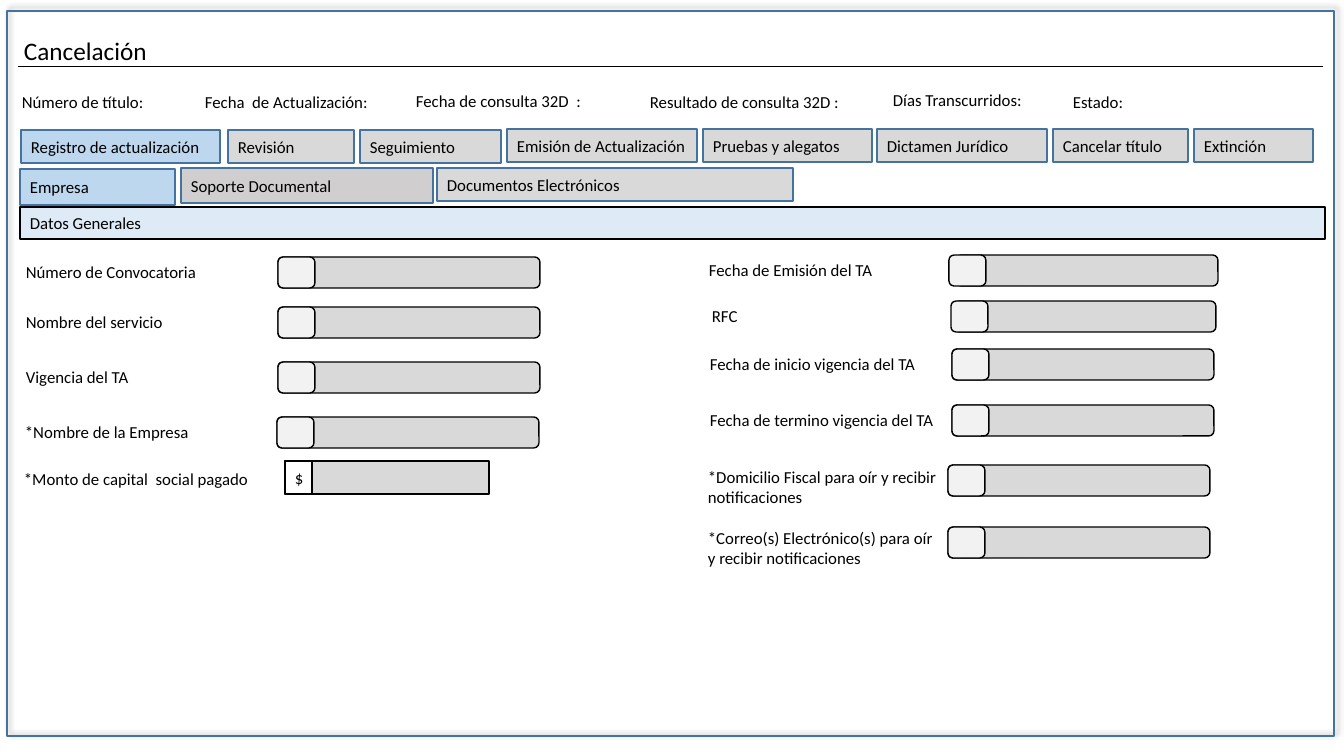
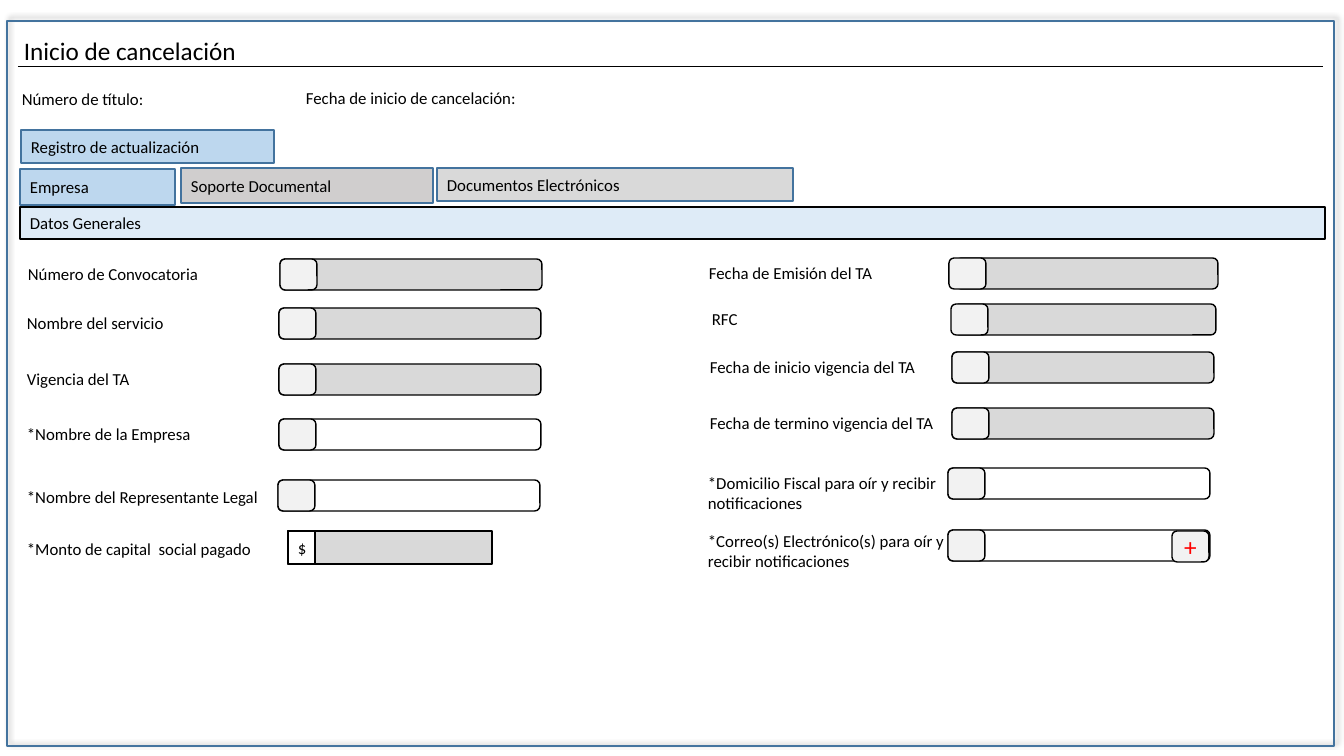
"""Build two cancellation form screens that share one frame, tab row and field grid."""
from lxml import etree
from pptx import Presentation
from pptx.dml.color import RGBColor
from pptx.enum.shapes import MSO_CONNECTOR, MSO_SHAPE
from pptx.enum.text import MSO_ANCHOR, PP_ALIGN
from pptx.oxml import parse_xml
from pptx.oxml.ns import nsdecls, qn
from pptx.util import Pt

PX = 914400 / 100.8
FONT = "Calibri"
BLACK, WHITE, RED, BORDER = "000000", "FFFFFF", "FF0000", "43739E"
ACTIVE, TAB, SUBTAB, BAND, CAP = "BDD7EE", "D9D9D9", "D0CECE", "DEEBF7", "F2F2F2"
RECT, ROUND = MSO_SHAPE.RECTANGLE, MSO_SHAPE.ROUNDED_RECTANGLE
BAR_W, CAP_W, FIELD_H, LABEL_W, LABEL_H = 262, 37, 31, 362, 30
TAB_H, AMOUNT_W, AMOUNT_CAP = 33, 204, 27

SUBTABS = [
    ("Empresa", 20, 169, 155, 36, ACTIVE),
    ("Soporte Documental", 181, 168, 252, 35, SUBTAB),
    ("Documentos Electrónicos", 437, 168, 356, 33, TAB),
]
# label, label x, cap x, bar x, y
RIGHT = [
    ("Fecha de Emisión del TA", 699, 949, 956, 255),
    ("RFC", 702, 951, 954, 301),
    ("Fecha de inicio vigencia del TA", 700, 952, 952, 349),
    ("Fecha de termino vigencia del TA", 700, 952, 952, 405),
    ("*Domicilio Fiscal para oír y recibir notificaciones", 698, 948, 948, 465),
    ("*Correo(s) Electrónico(s) para oír y recibir notificaciones", 698, 948, 948, 527),
]
LEFT = ["Número de Convocatoria", "Nombre del servicio", "Vigencia del TA",
        "*Nombre de la Empresa", "*Nombre del Representante Legal"]
LONG = RIGHT[4][0], RIGHT[5][0]

SCREENS = [
    {
        "title": "Cancelación", "frame_y": 11,
        "info": [("Número de título:", 12, 87), ("Fecha  de Actualización:", 195, 87),
                 ("Fecha de consulta 32D  :", 406, 86), ("Resultado de consulta 32D :", 640, 87),
                 ("Días Transcurridos:", 883, 85), ("Estado:", 1063, 87)],
        "tabs": [("Registro de actualización", 21, 130, 199), ("Revisión", 228, 130, 126),
                 ("Seguimiento", 360, 130, 141), ("Emisión de Actualización", 507, 129, 190),
                 ("Pruebas y alegatos", 703, 129, 169), ("Dictamen Jurídico", 877, 129, 170),
                 ("Cancelar título", 1053, 129, 135), ("Extinción", 1194, 129, 119)],
        "left": [(16, 278, 257), (16, 278, 307), (16, 278, 362), (15, 277, 417)],
        "right_dy": 0, "long_boxes": [(250, -3), (251, -4)],
        "amount": (14, 285, 461), "editable": [], "add": None,
    },
    {
        "title": "Inicio de cancelación", "frame_y": 21,
        "info": [("Número de título:", 12, 84), ("Fecha de inicio de cancelación:", 296, 83)],
        "tabs": [("Registro de actualización", 21, 130, 253)],
        "left": [(18, 280, 259), (17, 279, 308), (17, 279, 364), (17, 279, 419), (17, 278, 480)],
        "right_dy": 3, "long_boxes": [(312, 0), (258, -4)],
        "amount": (17, 288, 531), "editable": LEFT[3:] + list(LONG), "add": (1172, 531),
    },
]


def color(value):
    return RGBColor.from_string(value)


def write(tf, text, size=12, ink=BLACK, align=PP_ALIGN.LEFT):
    tf.word_wrap = True
    p = tf.paragraphs[0]
    p.text, p.alignment = text, align
    p.font.name, p.font.size, p.font.color.rgb = FONT, Pt(size), color(ink)


def box(s, kind, x, y, w, h, fill=None, line=BLACK, text="", **style):
    sp = s.shapes.add_shape(kind, *[round(v * PX) for v in (x, y, w, h)])
    sp.shadow.inherit = False
    if fill:
        sp.fill.solid()
        sp.fill.fore_color.rgb = color(fill)
    else:
        sp.fill.background()
    sp.line.color.rgb, sp.line.width = color(line), Pt(1)
    if text:
        sp.text_frame.vertical_anchor = MSO_ANCHOR.MIDDLE
        write(sp.text_frame, text, **style)
    return sp


def label(s, text, x, y, w=LABEL_W, h=LABEL_H, size=12):
    sp = s.shapes.add_textbox(*[round(v * PX) for v in (x, y, w, h)])
    write(sp.text_frame, text, size)


def frame(s, y):
    sp = box(s, RECT, 7, y, 1327, 725, line=BORDER)
    effects = sp._element.spPr.find(qn("a:effectLst"))
    effects.append(parse_xml(
        f'<a:outerShdw {nsdecls("a")} blurRad="{Pt(4)}" dist="{Pt(3)}" dir="18900000">'
        '<a:srgbClr val="000000"><a:alpha val="40000"/></a:srgbClr></a:outerShdw>'))


def rule(s, x1, x2, y):
    c = s.shapes.add_connector(MSO_CONNECTOR.STRAIGHT, *[round(v * PX) for v in (x1, y, x2, y)])
    c.line.color.rgb, c.line.width = color(BLACK), Pt(0.5)
    etree.SubElement(c._element.spPr, qn("a:effectLst"))


def field(s, text, label_x, cap_x, bar_x, y, editable, label_w=LABEL_W, label_dy=0):
    box(s, ROUND, bar_x, y, BAR_W, FIELD_H, WHITE if text in editable else TAB)
    box(s, ROUND, cap_x, y, CAP_W, FIELD_H, CAP)
    label(s, text, label_x, y + label_dy, label_w)


def build(s, screen):
    frame(s, screen["frame_y"])
    label(s, screen["title"], 14, 30, 515, 40, size=18)
    rule(s, 18, 1323, 66.5)
    for text, x, y in screen["info"]:
        label(s, text, x, y, 245)
    for i, (text, x, y, w) in enumerate(screen["tabs"]):
        box(s, RECT, x, y, w, TAB_H, TAB if i else ACTIVE, BORDER, text)
    for text, x, y, w, h, fill in SUBTABS:
        box(s, RECT, x, y, w, h, fill, BORDER, text)
    box(s, RECT, 20, 207, 1305, 32, BAND, text="Datos Generales")

    editable = screen["editable"]
    for text, (label_x, x, y) in zip(LEFT, screen["left"]):
        field(s, text, label_x, x, x, y, editable, label_dy=2 if text == LEFT[4] else 0)
    long_boxes = dict(zip(LONG, screen["long_boxes"]))
    for text, label_x, cap_x, bar_x, y in RIGHT:
        field(s, text, label_x, cap_x, bar_x, y + screen["right_dy"], editable,
              *long_boxes.get(text, ()))

    label_x, x, y = screen["amount"]
    label(s, "*Monto de capital  social pagado", label_x, y + 3)
    box(s, RECT, x, y, AMOUNT_W, TAB_H, TAB)
    box(s, RECT, x, y, AMOUNT_CAP, TAB_H, WHITE, text="$", align=PP_ALIGN.CENTER)
    if screen["add"]:
        box(s, ROUND, *screen["add"], CAP_W, FIELD_H, CAP, text="+",
            size=18, ink=RED, align=PP_ALIGN.CENTER)


prs = Presentation()
prs.slide_width, prs.slide_height = round(1344 * PX), round(756 * PX)
for screen in SCREENS:
    build(prs.slides.add_slide(prs.slide_layouts[6]), screen)
prs.save("out.pptx")
